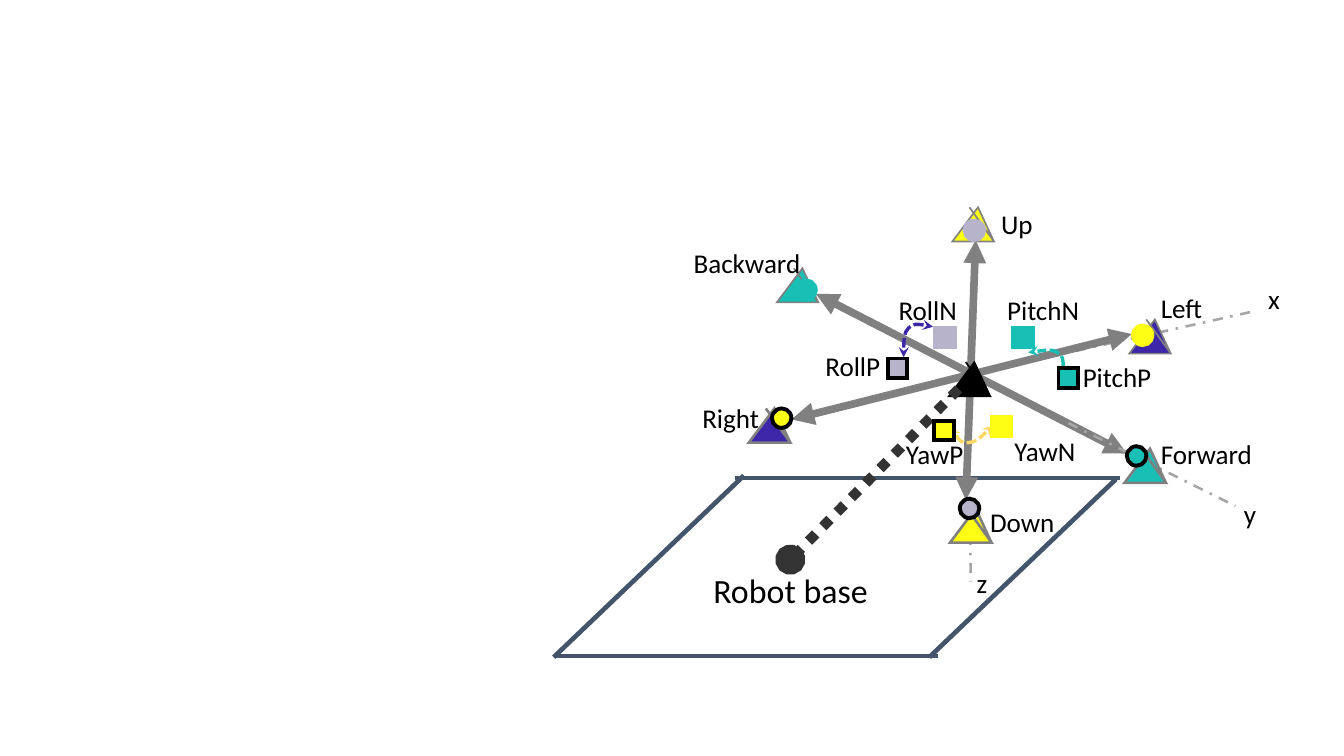
from lxml.etree import SubElement
from pptx import Presentation
from pptx.dml.color import RGBColor
from pptx.enum.dml import MSO_LINE
from pptx.enum.shapes import MSO_CONNECTOR, MSO_SHAPE
from pptx.enum.text import MSO_AUTO_SIZE
from pptx.oxml.ns import qn
from pptx.util import Pt

PX = 9144
BLACK = RGBColor(0x00, 0x00, 0x00)
CHARCOAL = RGBColor(0x33, 0x33, 0x33)
GRAY = RGBColor(0x80, 0x80, 0x80)
SILVER = RGBColor(0xA6, 0xA6, 0xA6)
SLATE = RGBColor(0x44, 0x54, 0x6A)
INDIGO = RGBColor(0x3D, 0x26, 0xA8)
TEAL = RGBColor(0x18, 0xBF, 0xB5)
YELLOW = RGBColor(0xFD, 0xFE, 0x14)
AMBER = RGBColor(0xFF, 0xD9, 0x66)
LILAC = RGBColor(0xB7, 0xB3, 0xCA)


class Diagram:
    font = "Calibri"
    marker_size = 16
    marker_outline = 2.3
    triangle = [(0, 35), (34, 35), (14, 7), (34, 35), (21, 7)]

    def __init__(self, slide):
        self.shapes = slide.shapes

    def stroke(self, shape, color, width, dash=None, head=None, tail=None):
        shape.line.color.rgb = color
        shape.line.width = Pt(width)
        if dash is not None:
            shape.line.dash_style = dash
        outline = shape.element.spPr.find(qn("a:ln"))
        SubElement(outline, qn("a:miter")).set("lim", "800000")
        for tag, kind in (("a:headEnd", head), ("a:tailEnd", tail)):
            if kind:
                SubElement(outline, qn(tag)).set("type", kind)

    def paint(self, shape, fill):
        shape.shadow.inherit = False
        shape.fill.solid()
        shape.fill.fore_color.rgb = fill

    def line(self, start, end, color, width, **style):
        ends = [value * PX for value in (*start, *end)]
        connector = self.shapes.add_connector(MSO_CONNECTOR.STRAIGHT, *ends)
        self.stroke(connector, color, width, **style)
        SubElement(connector.element.spPr, qn("a:effectLst"))

    def outline(self, points, close):
        builder = self.shapes.build_freeform(*points[0], scale=PX)
        builder.add_line_segments(points[1:], close=close)
        return builder.convert_to_shape()

    def pose(self, left, top, fill, edge, width):
        corners = [(left + x, top + y) for x, y in self.triangle]
        shape = self.outline(corners, close=True)
        self.paint(shape, fill)
        self.stroke(shape, edge, width)

    def rotation(self, points, color):
        shape = self.outline(points, close=False)
        shape.shadow.inherit = False
        shape.fill.background()
        self.stroke(shape, color, 2, MSO_LINE.SQUARE_DOT, "stealth", "stealth")
        segments = list(shape.element.iter(qn("a:lnTo")))
        route = segments[0].getparent()
        for first in range(0, len(segments), 3):
            curve = SubElement(route, qn("a:cubicBezTo"))
            for segment in segments[first:first + 3]:
                curve.append(segment[0])
                route.remove(segment)

    def marker(self, kind, left, top, fill, edge):
        size = self.marker_size * PX
        shape = self.shapes.add_shape(kind, left * PX, top * PX, size, size)
        self.paint(shape, fill)
        self.stroke(shape, edge, self.marker_outline)

    def label(self, text, left, top, width, height=37, size=16):
        box = self.shapes.add_textbox(left * PX, top * PX, width * PX, height * PX)
        frame = box.text_frame
        frame.text = text
        frame.word_wrap = False
        frame.auto_size = MSO_AUTO_SIZE.SHAPE_TO_FIT_TEXT
        font = frame.paragraphs[0].runs[0].font
        font.name = self.font
        font.size = Pt(size)
        font.color.rgb = BLACK


def main():
    presentation = Presentation()
    presentation.slide_width = 1102 * PX
    presentation.slide_height = 620 * PX
    diagram = Diagram(presentation.slides.add_slide(presentation.slide_layouts[6]))

    for start, end in (
        ((918, 392), (603, 392)),
        ((915, 393), (762, 539)),
        ((610, 390), (454, 539)),
        ((769, 538), (454, 538)),
    ):
        diagram.line(start, end, SLATE, 2.75)

    z_axis = ((794, 324), (796, 477))
    x_axis = ((1025, 256), (814, 303))
    y_axis = ((876, 347), (1013, 415))
    up_down = ((800, 197), (792, 410))
    right_left = ((649, 344), (928, 274))
    backward_forward = ((669, 241), (924, 372))
    for axis, motion in ((z_axis, up_down), (x_axis, right_left)):
        diagram.line(*axis, SILVER, 1.5, dash=MSO_LINE.DASH_DOT)
        diagram.line(*motion, GRAY, 4.5, head="triangle", tail="triangle")
    diagram.line(*backward_forward, GRAY, 4.5, head="triangle", tail="triangle")
    diagram.line(*y_axis, SILVER, 1.5, dash=MSO_LINE.DASH_DOT)

    for left, top, fill, edge, width in (
        (614, 328, INDIGO, GRAY, 1.5),
        (779, 410, YELLOW, GRAY, 1.5),
        (781, 163, YELLOW, GRAY, 1),
        (637, 213, TEAL, GRAY, 1),
        (926, 255, INDIGO, GRAY, 1),
        (922, 361, TEAL, GRAY, 1.5),
        (778, 290, BLACK, BLACK, 1),
    ):
        diagram.pose(left, top, fill, edge, width)

    roll = [(765, 268), (757, 266), (749, 265), (745, 269),
            (741, 273), (741, 283), (741, 293)]
    pitch = [(872, 308), (872, 300), (872, 292), (867, 289),
             (862, 286), (853, 288), (843, 289)]
    yaw = [(779, 351), (784, 357), (788, 364), (794, 363),
           (800, 363), (807, 356), (814, 349)]
    for curve, color in ((roll, INDIGO), (yaw, AMBER), (pitch, TEAL)):
        diagram.rotation(curve, color)

    diagram.line((786, 319), (648, 459), CHARCOAL, 6,
                 dash=MSO_LINE.ROUND_DOT, tail="oval")

    rotation_markers = (
        (767, 269, LILAC, LILAC), (728, 294, LILAC, BLACK),
        (831, 269, TEAL, TEAL), (868, 302, TEAL, BLACK),
        (813, 342, YELLOW, YELLOW), (766, 345, YELLOW, BLACK),
    )
    translation_markers = (
        (791, 181, LILAC, LILAC), (787, 409, LILAC, BLACK),
        (653, 230, TEAL, TEAL), (924, 366, TEAL, BLACK),
        (929, 267, YELLOW, YELLOW), (633, 335, YELLOW, BLACK),
    )
    for kind, markers in ((MSO_SHAPE.RECTANGLE, rotation_markers),
                          (MSO_SHAPE.OVAL, translation_markers)):
        for marker in markers:
            diagram.marker(kind, *marker)

    for text, left, top, width in (
        ("Up", 811, 165, 48), ("Down", 802, 410, 75),
        ("Left", 942, 234, 56), ("Right", 566, 324, 69),
        ("Forward", 942, 354, 97), ("Backward", 559, 197, 110),
        ("RollN", 727, 236, 70), ("RollP", 667, 282, 67),
        ("PitchN", 816, 236, 81), ("PitchP", 878, 291, 78),
        ("YawN", 822, 351, 73), ("YawP", 733, 354, 70),
        ("x", 1030, 227, 31), ("y", 1010, 403, 32), ("z", 791, 460, 31),
    ):
        diagram.label(text, left, top, width)
    diagram.label("Robot base", 575, 462, 149, height=43, size=20)

    presentation.save("out.pptx")


if __name__ == "__main__":
    main()
